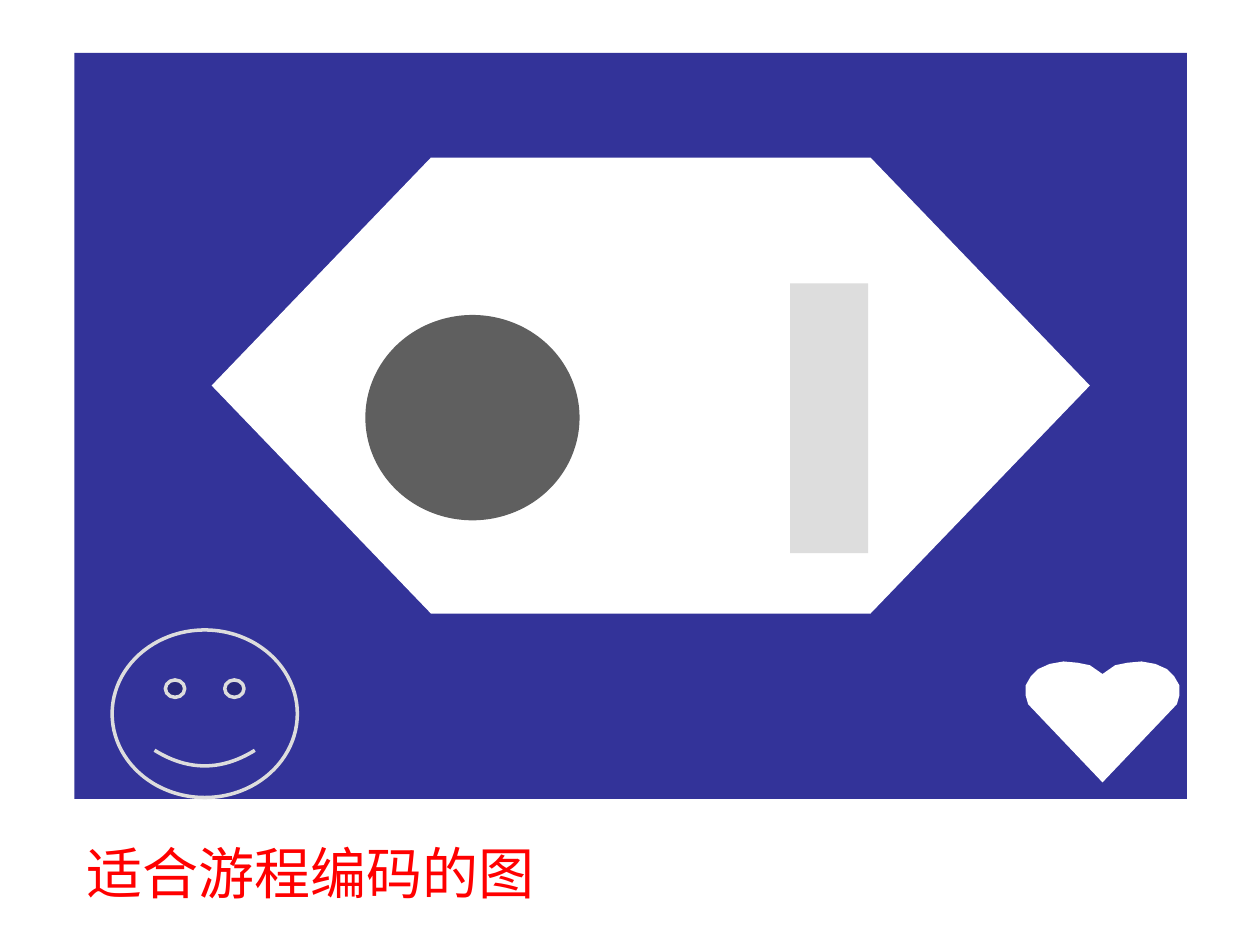
from pptx import Presentation
from pptx import util as u
from pptx.dml.color import RGBColor
from pptx.enum import shapes, text

PX = 9144  # EMU per px, 100 px to the inch
COLORS = {
    "blue": "333399",
    "white": "FFFFFF",
    "dark": "5F5F5F",
    "light": "DDDDDD",
    "red": "FF0000",
}


def px(*lengths):
    return [u.Emu(n * PX) for n in lengths]


def color(name):
    return RGBColor.from_string(COLORS[name])


def style(sp, fill, line=None):
    sp.shadow.inherit = False
    sp.fill.solid()
    sp.fill.fore_color.rgb = color(fill)
    if line:
        sp.line.color.rgb = color(line)
        sp.line.width = u.Pt(2)
    else:
        sp.line.fill.background()


def add_preset(s, kind, box, fill, line=None, adj=None):
    sp = s.shapes.add_shape(kind, *px(*box))
    if adj is not None:
        sp.adjustments[0] = adj
    style(sp, fill, line)


def add_heart(s, axis, top, tip, half, fill):
    """Heart outline: the left half is mirrored about the vertical axis."""
    left = [(axis - dx, y) for dx, y in half]
    right = [(axis + dx, y) for dx, y in reversed(half)]
    fb = s.shapes.build_freeform(axis, top, scale=PX)
    fb.add_line_segments(left + [(axis, tip)] + right, close=True)
    style(fb.convert_to_shape(), fill)


def add_caption(s, box, words):
    tf = s.shapes.add_textbox(*px(*box)).text_frame
    tf.word_wrap = False
    tf.auto_size = text.MSO_AUTO_SIZE.SHAPE_TO_FIT_TEXT
    p = tf.paragraphs[0]
    p.text = words
    p.font.size = u.Pt(32)
    p.font.name = "Times New Roman"
    p.font.color.rgb = color("red")


def main():
    prs = Presentation()
    prs.slide_width, prs.slide_height = px(1000, 750)
    s = prs.slides.add_slide(prs.slide_layouts[6])
    kind = shapes.MSO_SHAPE

    # Background panel and the flat areas on it
    add_preset(s, kind.RECTANGLE, (59, 42, 883, 592), "blue")
    add_preset(s, kind.HEXAGON, (168, 125, 697, 362), "white", adj=0.481)
    add_preset(s, kind.OVAL, (290, 250, 170, 163), "dark")
    add_preset(s, kind.RECTANGLE, (627, 225, 62, 214), "light")

    # Corner figures
    add_preset(s, kind.SMILEY_FACE, (89, 500, 147, 133), "blue", "light", 0.093)
    half = [(10, 528), (20, 526), (31, 525), (42, 527), (51, 531),
            (57, 537), (61, 544), (61, 552), (59, 559)]
    add_heart(s, 875, 535, 621, half, "white")

    # Caption
    add_caption(s, (59, 661, 376, 64), "适合游程编码的图")

    prs.save("out.pptx")


if __name__ == "__main__":
    main()
